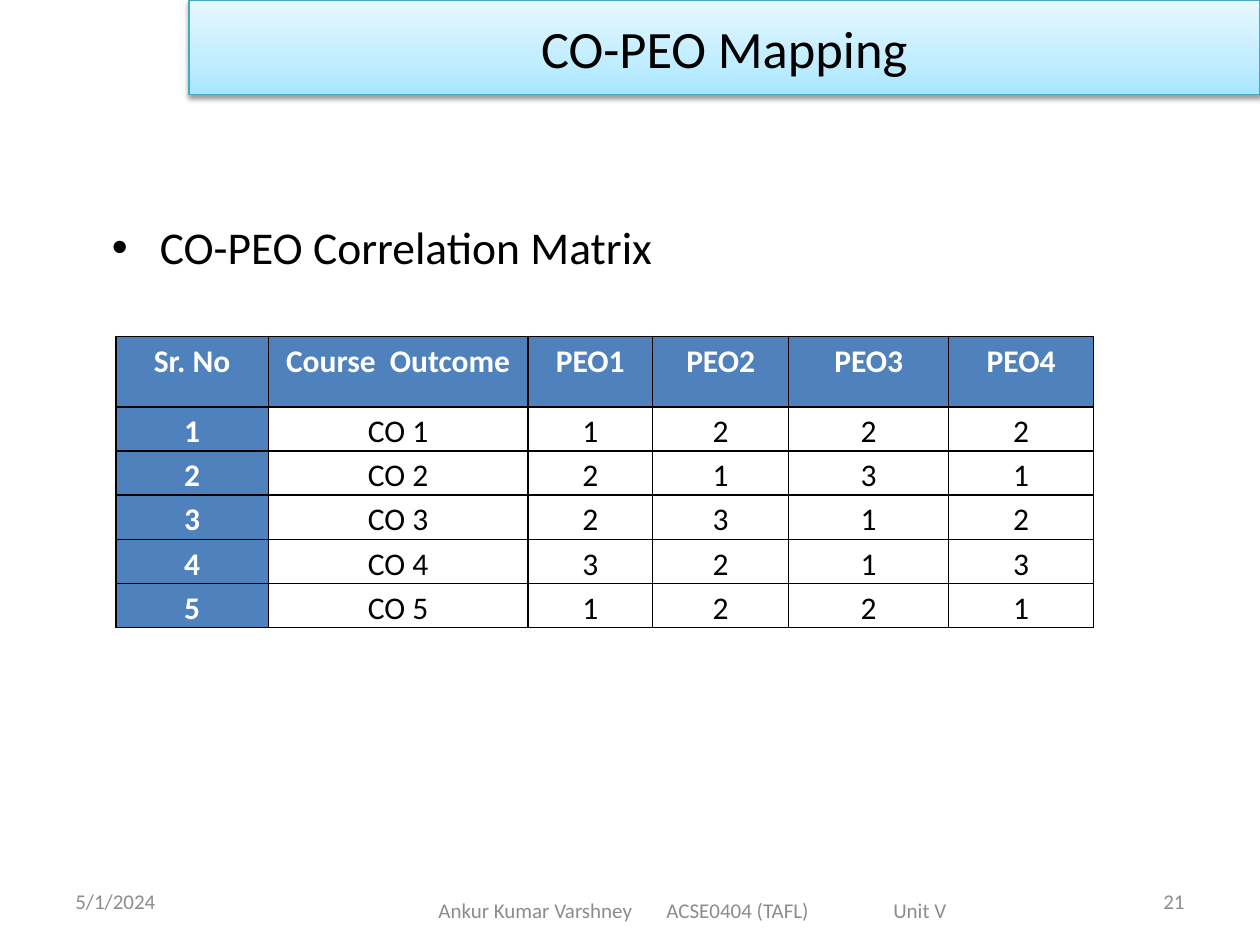
"""Build the CO-PEO mapping slide with its correlation matrix."""
from dataclasses import dataclass
from typing import Any

from lxml import etree
from pptx import Presentation
from pptx import util as u
from pptx.dml import color
from pptx.enum import shapes, text
from pptx.oxml import ns


@dataclass(frozen=True)
class Theme:
    font: str = "Calibri"
    black: str = "000000"
    white: str = "FFFFFF"
    grey: str = "8C8C8C"
    header: str = "4F81BD"
    banner_line: str = "46AAC5"
    banner_stops: tuple = ((0, "A7E6FF"), (35, "C1EDFF"), (100, "E7F8FF"))
    title_size: int = 30
    body_size: int = 26
    table_size: int = 18
    footer_size: int = 12


@dataclass(frozen=True)
class Box:
    left: float
    top: float
    width: float
    height: float

    def lengths(self) -> tuple:
        return tuple(u.Inches(n) for n in (self.left, self.top, self.width, self.height))


@dataclass(frozen=True)
class Footer:
    box: Box
    wording: str
    alignment: Any = text.PP_ALIGN.LEFT
    left_inset: float = 0.1
    tabs: tuple = ()


THEME = Theme()
FOOTERS = (
    Footer(Box(0.5, 6.95, 2.33, 0.4), "5/1/2024"),
    Footer(Box(7.17, 6.95, 2.33, 0.4), "21", text.PP_ALIGN.RIGHT),
    Footer(Box(2.75, 6.95, 5.5, 0.55), "Ankur Kumar Varshney\tACSE0404 (TAFL)\tUnit V",
           left_inset=0.73, tabs=(1.81, 3.61)),
)
HEADINGS = ("Sr. No", "Course  Outcome", "PEO1", "PEO2", "PEO3", "PEO4")
LEVELS = ((1, 2, 2, 2), (2, 1, 3, 1), (2, 3, 1, 2), (3, 2, 1, 3), (1, 2, 2, 1))
COLUMN_WIDTHS = (1.21, 2.06, 0.99, 1.08, 1.27, 1.15)
HEADER_HEIGHT, ROW_HEIGHT = 0.56, 0.35


def apply(target: Any, values: dict) -> None:
    """Set each named attribute on the target."""
    for name, value in values.items():
        setattr(target, name, value)


def add_xml(parent: Any, tag: str, **attributes: Any) -> Any:
    """Append a DrawingML element and return it."""
    return etree.SubElement(parent, ns.qn(f"a:{tag}"), {k: str(v) for k, v in attributes.items()})


def write(frame: Any, wording: str, size: int, ink: str, bold: bool = False, **layout: Any) -> Any:
    """Write one styled paragraph into a text frame."""
    paragraph = frame.paragraphs[0]
    apply(paragraph, layout)
    run = paragraph.add_run()
    run.text = wording
    apply(run.font, {"name": THEME.font, "size": u.Pt(size), "bold": bold})
    run.font.color.rgb = color.RGBColor.from_string(ink)
    return paragraph


def add_banner(slide: Any, box: Box, wording: str) -> None:
    """Draw the gradient title banner with its soft shadow."""
    shape = slide.shapes.add_shape(shapes.MSO_SHAPE.RECTANGLE, *box.lengths())
    properties = shape.fill._xPr
    gradient = add_xml(properties, "gradFill", rotWithShape=1)
    stops = add_xml(gradient, "gsLst")
    for position, tint in THEME.banner_stops:
        add_xml(add_xml(stops, "gs", pos=position * 1000), "srgbClr", val=tint)
    add_xml(gradient, "lin", ang=270 * 60000, scaled=0)
    shape.line.color.rgb = color.RGBColor.from_string(THEME.banner_line)
    shape.line.width = u.Pt(0.75)
    shadow = add_xml(add_xml(properties, "effectLst"), "outerShdw", blurRad=u.Pt(3.1),
                     dist=u.Pt(1.6), dir=90 * 60000, rotWithShape=0)
    add_xml(add_xml(shadow, "srgbClr", val=THEME.black), "alpha", val=38000)
    shape.text_frame.vertical_anchor = text.MSO_ANCHOR.MIDDLE
    write(shape.text_frame, wording, THEME.title_size, THEME.black,
          alignment=text.PP_ALIGN.CENTER)


def add_footer(slide: Any, footer: Footer) -> None:
    """Add one footer text, with tab stops between its parts."""
    frame = slide.shapes.add_textbox(*footer.box.lengths()).text_frame
    apply(frame, {"word_wrap": True, "vertical_anchor": text.MSO_ANCHOR.MIDDLE,
                  "margin_left": u.Inches(footer.left_inset)})
    paragraph = write(frame, footer.wording, THEME.footer_size, THEME.grey,
                      alignment=footer.alignment)
    if footer.tabs:
        stops = add_xml(paragraph._p.get_or_add_pPr(), "tabLst")
        for position in footer.tabs:
            add_xml(stops, "tab", pos=u.Inches(position), algn="l")


def add_bullet(slide: Any, box: Box, wording: str) -> None:
    """Add the bulleted body line."""
    frame = slide.shapes.add_textbox(*box.lengths()).text_frame
    frame.word_wrap = True
    paragraph = write(frame, wording, THEME.body_size, THEME.black, space_before=u.Pt(5))
    properties = paragraph._p.get_or_add_pPr()
    indent = u.Inches(0.38)
    properties.set("marL", str(indent))
    properties.set("indent", str(-indent))
    add_xml(properties, "buFont", typeface="Arial")
    add_xml(properties, "buChar", char="•")


def style_cell(cell: Any, wording: str, is_header: bool) -> None:
    """Write, border and fill one matrix cell."""
    apply(cell, {"margin_left": u.Inches(0.07), "margin_right": u.Inches(0.07),
                 "margin_top": 0, "margin_bottom": 0})
    write(cell.text_frame, wording, THEME.table_size,
          THEME.white if is_header else THEME.black, is_header,
          alignment=text.PP_ALIGN.CENTER, line_spacing=1.15)
    for side in ("lnL", "lnR", "lnT", "lnB"):
        border = add_xml(cell._tc.get_or_add_tcPr(), side, w=u.Pt(1))
        add_xml(add_xml(border, "solidFill"), "srgbClr", val=THEME.black)
    if is_header:
        cell.fill.solid()
        cell.fill.fore_color.rgb = color.RGBColor.from_string(THEME.header)
    else:
        cell.fill.background()


def add_matrix(slide: Any, left: float, top: float) -> None:
    """Add the correlation table."""
    rows = [HEADINGS] + [(n, f"CO {n}", *levels) for n, levels in enumerate(LEVELS, 1)]
    heights = [HEADER_HEIGHT] + [ROW_HEIGHT] * len(LEVELS)
    box = Box(left, top, sum(COLUMN_WIDTHS), sum(heights))
    table = slide.shapes.add_table(len(rows), len(HEADINGS), *box.lengths()).table
    apply(table, {"first_row": False, "horz_banding": False})
    for column, width in zip(table.columns, COLUMN_WIDTHS):
        column.width = u.Inches(width)
    for r, (values, height) in enumerate(zip(rows, heights)):
        table.rows[r].height = u.Inches(height)
        for c, value in enumerate(values):
            style_cell(table.cell(r, c), str(value), r == 0 or c == 0)


def main() -> None:
    """Assemble and save the slide."""
    presentation = Presentation()
    apply(presentation, {"slide_width": u.Inches(10), "slide_height": u.Inches(7.5)})
    slide = presentation.slides.add_slide(presentation.slide_layouts[6])
    add_banner(slide, Box(1.5, 0, 8.5, 0.75), "CO-PEO Mapping")
    for footer in FOOTERS:
        add_footer(slide, footer)
    add_bullet(slide, Box(0.79, 1.69, 9, 5.81), "CO-PEO Correlation Matrix")
    add_matrix(slide, 0.92, 2.67)
    presentation.save("out.pptx")


if __name__ == "__main__":
    main()
